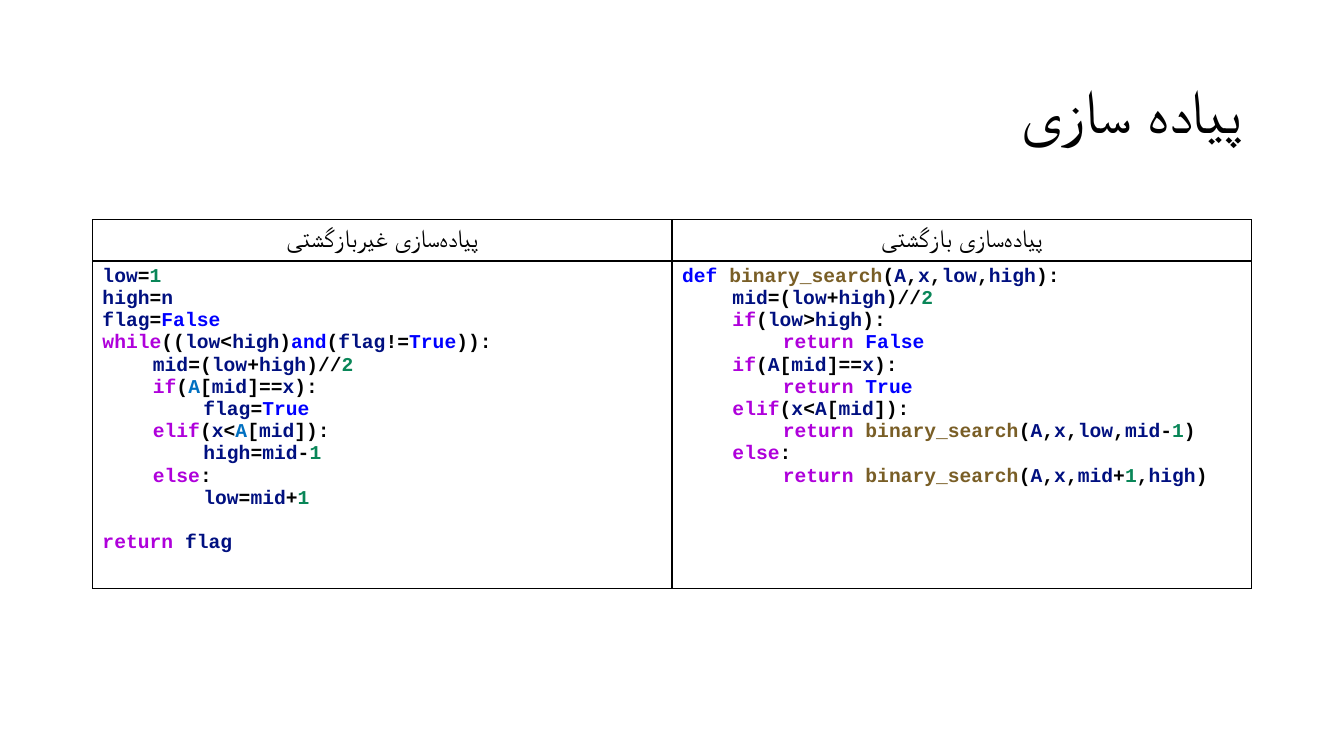
from itertools import groupby

from lxml import etree
from pptx import Presentation
from pptx import util as u
from pptx.dml.color import RGBColor
from pptx.enum import text
from pptx.oxml.ns import qn

BLACK, NAVY, BLUE, PURPLE = "000000", "001080", "0000FF", "AF00DB"
GREEN, BROWN, SKY = "098658", "795E26", "0070C1"
WORD_COLORS = {
    **dict.fromkeys(("while", "if", "elif", "else", "return"), PURPLE),
    **dict.fromkeys(("def", "and", "True", "False"), BLUE),
    "binary_search": BROWN,
}
NON_JOINER = chr(0x200C)

LOOP_CODE = """low=1
high=n
flag=False
while((low<high)and(flag!=True)):
    mid=(low+high)//2
    if(A[mid]==x):
        flag=True
    elif(x<A[mid]):
        high=mid-1
    else:
        low=mid+1

return flag"""

RECURSIVE_CODE = """def binary_search(A,x,low,high):
    mid=(low+high)//2
    if(low>high):
        return False
    if(A[mid]==x):
        return True
    elif(x<A[mid]):
        return binary_search(A,x,low,mid-1)
    else:
        return binary_search(A,x,mid+1,high)"""


def rgb(color):
    return RGBColor.from_string(color)


def is_word_char(char):
    return char.isalnum() or char == "_"


def tokens(line, word_colors):
    """Yield (text, colour) for each word or group of symbols in a code line."""
    for is_word, chars in groupby(line, is_word_char):
        token = "".join(chars)
        if token.isdigit():
            yield token, GREEN
        else:
            yield token, word_colors.get(token, NAVY) if is_word else BLACK


class Deck:
    COLS, ROWS = 80, 75
    INDENT = u.Inches(0.5)
    CODE_SIZE, CODE_LINE = 14, 15.85

    def __init__(self):
        self.prs = Presentation()
        self.prs.slide_width = u.Inches(13.33)
        self.prs.slide_height = u.Inches(7.5)
        self.s = self.prs.slides.add_slide(self.prs.slide_layouts[5])

    def x(self, cols):
        return round(self.prs.slide_width * cols / self.COLS)

    def y(self, rows):
        return round(self.prs.slide_height * rows / self.ROWS)

    def style_run(self, r, size, color=BLACK, font="Arial", bold=False):
        r.font.size, r.font.bold, r.font.name = u.Pt(size), bold, font
        r.font.color.rgb = rgb(color)
        etree.SubElement(r.font._element, qn("a:cs"), typeface=font)

    def persian(self, p, words, size, align):
        p.text = words
        p.alignment = align
        p._p.get_or_add_pPr().set("rtl", "1")
        for r in p.runs:
            self.style_run(r, size)

    def title(self, words, left, top, width, height):
        sp = self.s.shapes.title
        sp.left, sp.top = self.x(left), self.y(top)
        sp.width, sp.height = self.x(width), self.y(height)
        tf = sp.text_frame
        tf.vertical_anchor = text.MSO_ANCHOR.MIDDLE
        p = tf.paragraphs[0]
        self.persian(p, words, 44, text.PP_ALIGN.RIGHT)
        p.line_spacing = 0.9

    def table(self, left, top, width, row_heights, cols):
        frame = self.s.shapes.add_table(
            len(row_heights), cols, self.x(left), self.y(top),
            self.x(width), self.y(sum(row_heights)))
        table = frame.table
        table.first_row = table.horz_banding = False
        for row, height in zip(table.rows, row_heights):
            row.height = self.y(height)
        for cell in table.iter_cells():
            self.border(cell)
            cell.fill.background()
        return table

    def border(self, cell):
        tcPr = cell._tc.get_or_add_tcPr()
        for side in ("lnL", "lnR", "lnT", "lnB"):
            ln = etree.SubElement(tcPr, qn(f"a:{side}"), w=str(u.Pt(1)))
            fill = etree.SubElement(ln, qn("a:solidFill"))
            etree.SubElement(fill, qn("a:srgbClr"), val=BLACK)

    def code(self, cell, source, word_colors):
        """Fill a cell with coloured code; a blank line becomes space before."""
        tf = cell.text_frame
        p, gap = tf.paragraphs[0], 0
        for number, line in enumerate(source.splitlines()):
            code = line.lstrip()
            if not code:
                gap += self.CODE_LINE
                continue
            if number:
                p = tf.add_paragraph()
            p.level = (len(line) - len(code)) // 4
            p._p.get_or_add_pPr().set("marL", str(p.level * self.INDENT))
            p.alignment = text.PP_ALIGN.LEFT
            p.space_before, gap = u.Pt(gap), 0
            for token, color in tokens(code, word_colors):
                r = p.add_run()
                r.text = token
                self.style_run(r, self.CODE_SIZE, color, "Courier New", True)


def main():
    deck = Deck()
    deck.title("پیاده سازی", 5.5, 4, 69, 14.5)
    implementation = NON_JOINER.join(("پیاده", "سازی"))
    versions = (
        (f"{implementation} غیر{NON_JOINER}بازگشتی", LOOP_CODE,
         {**WORD_COLORS, "A": SKY}),
        (f"{implementation} {NON_JOINER}بازگشتی", RECURSIVE_CODE, WORD_COLORS),
    )
    table = deck.table(5.5, 21.8, 69, (4.1, 32.5), len(versions))
    for col, (heading, source, word_colors) in enumerate(versions):
        p = table.cell(0, col).text_frame.paragraphs[0]
        deck.persian(p, heading, 18, text.PP_ALIGN.CENTER)
        deck.code(table.cell(1, col), source, word_colors)
    deck.prs.save("out.pptx")


if __name__ == "__main__":
    main()
